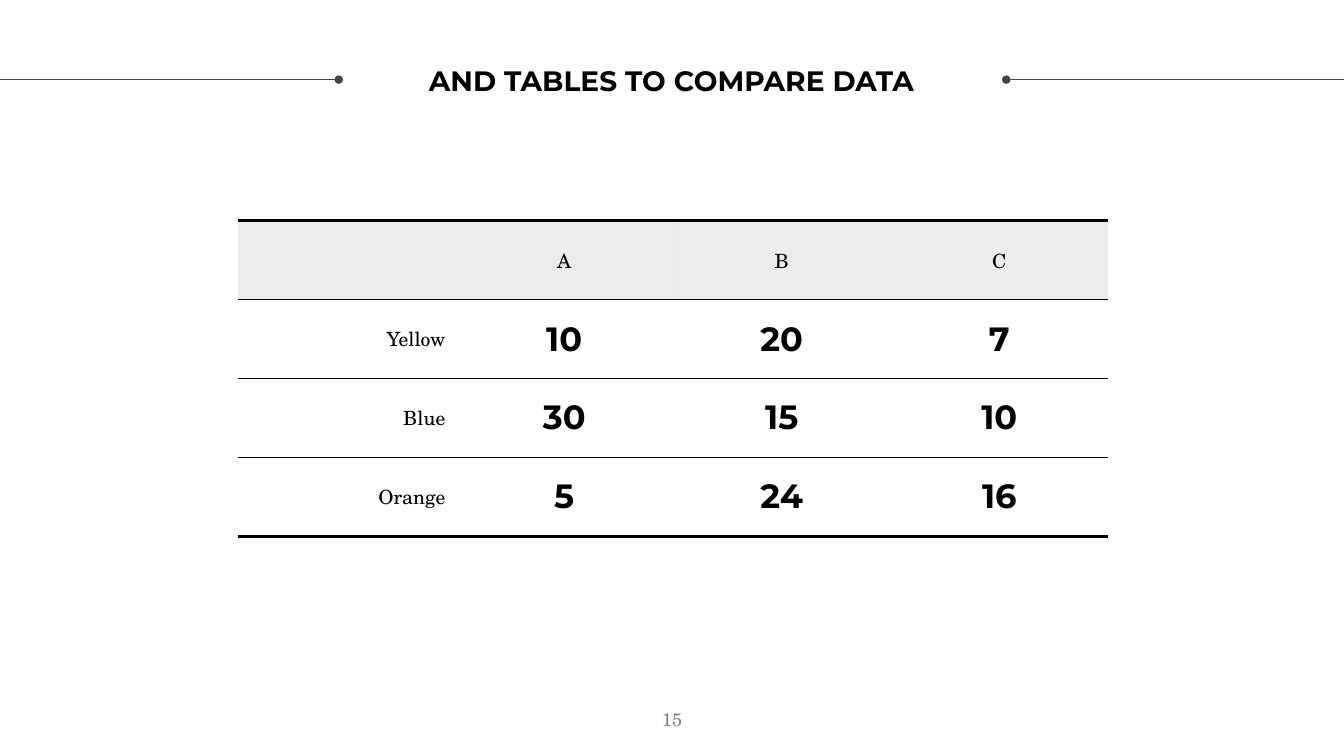
from dataclasses import dataclass

from lxml.etree import SubElement
from pptx import Presentation
from pptx.dml.color import RGBColor
from pptx.enum.shapes import MSO_CONNECTOR as Connector
from pptx.enum.text import MSO_ANCHOR as Anchor, PP_ALIGN as Align
from pptx.oxml.ns import qn
from pptx.util import Inches, Pt


@dataclass(frozen=True)
class Theme:
    heading_font: str = "Montserrat"
    body_font: str = "TeX Gyre Schola"
    ink: str = "000000"
    rule: str = "434343"
    accent: str = "8F7B87"
    header_opacity: int = 15
    title_size: int = 20
    label_size: int = 14
    value_size: int = 24
    number_size: int = 13
    thin: float = 0.75
    thick: float = 2.25


THEME = Theme()
PAGE_WIDTH, PAGE_HEIGHT = 13.33, 7.5
RULE_Y = 0.79
ROWS = [
    ["", "A", "B", "C"],
    ["Yellow", "10", "20", "7"],
    ["Blue", "30", "15", "10"],
    ["Orange", "5", "24", "16"],
]


def write(frame, text, *, size, font=THEME.body_font, color=THEME.ink,
          bold=False, align=Align.CENTER):
    para = frame.paragraphs[0]
    para.alignment = align
    span = para.add_run()
    span.text = text
    span.font.name = font
    span.font.size = Pt(size)
    span.font.bold = bold
    span.font.color.rgb = RGBColor.from_string(color)


def set_margins(holder):
    holder.margin_left = holder.margin_right = Inches(0.1)
    holder.margin_top = holder.margin_bottom = Inches(0.1)


def place(box, left, top, width, height):
    box.left, box.top = Inches(left), Inches(top)
    box.width, box.height = Inches(width), Inches(height)


def add_title(page, text):
    box = page.shapes.title
    place(box, 3.82, 0.17, 5.68, 1.25)
    frame = box.text_frame
    frame.word_wrap = True
    frame.vertical_anchor = Anchor.MIDDLE
    set_margins(frame)
    write(frame, text, size=THEME.title_size, font=THEME.heading_font, bold=True)


def add_dotted_rule(page, dot_x, edge_x):
    rule = page.shapes.add_connector(
        Connector.STRAIGHT, Inches(dot_x), Inches(RULE_Y), Inches(edge_x), Inches(RULE_Y))
    rule.line.color.rgb = RGBColor.from_string(THEME.rule)
    rule.line.width = Pt(THEME.thin)
    SubElement(rule.line._get_or_add_ln(), qn("a:headEnd"), type="oval")
    SubElement(rule._element.spPr, qn("a:effectLst"))


def set_borders(cell, top, bottom):
    """Draw the horizontal borders and clear the vertical ones."""
    properties = cell._tc.get_or_add_tcPr()
    for side, width in (("L", 0), ("R", 0), ("T", top), ("B", bottom)):
        line = SubElement(properties, qn(f"a:ln{side}"), w=str(Pt(width)))
        if width:
            fill = SubElement(line, qn("a:solidFill"))
            SubElement(fill, qn("a:srgbClr"), val=THEME.ink)
        else:
            SubElement(line, qn("a:noFill"))


def tint_header(cell):
    cell.fill.solid()
    cell.fill.fore_color.rgb = RGBColor.from_string(THEME.accent)
    color = cell._tc.tcPr.find(qn("a:solidFill")).find(qn("a:srgbClr"))
    SubElement(color, qn("a:alpha"), val=str(THEME.header_opacity * 1000))


def format_cell(cell, text, row, column):
    last_row = len(ROWS) - 1
    set_borders(cell,
                top=THEME.thick if row == 0 else THEME.thin,
                bottom=THEME.thick if row == last_row else THEME.thin)
    if row == 0:
        tint_header(cell)
    else:
        cell.fill.background()
    cell.vertical_anchor = Anchor.MIDDLE
    set_margins(cell)
    if not text:
        return
    if row and column:
        write(cell.text_frame, text, size=THEME.value_size,
              font=THEME.heading_font, bold=True)
    else:
        write(cell.text_frame, text, size=THEME.label_size,
              align=Align.CENTER if row == 0 else Align.RIGHT)


def add_data_table(page):
    table = page.shapes.add_table(
        len(ROWS), len(ROWS[0]), Inches(2.36), Inches(2.19),
        Inches(8.63), Inches(3.13)).table
    table.first_row = table.horz_banding = False
    for row, texts in enumerate(ROWS):
        for column, text in enumerate(texts):
            format_cell(table.cell(row, column), text, row, column)


def add_page_number(page, text):
    box = page.shapes.add_textbox(
        Inches(6.46), Inches(6.93), Inches(0.41), Inches(0.44))
    box.text_frame.word_wrap = False
    set_margins(box.text_frame)
    write(box.text_frame, text, size=THEME.number_size, color=THEME.accent)


def main():
    deck = Presentation()
    deck.slide_width, deck.slide_height = Inches(PAGE_WIDTH), Inches(PAGE_HEIGHT)
    page = deck.slides.add_slide(deck.slide_layouts[5])

    # Heading between two rules
    add_dotted_rule(page, 3.36, 0)
    add_dotted_rule(page, 9.98, PAGE_WIDTH)
    add_title(page, "AND TABLES TO COMPARE DATA")

    # Data and page number
    add_data_table(page)
    add_page_number(page, "15")

    deck.save("out.pptx")


if __name__ == "__main__":
    main()
